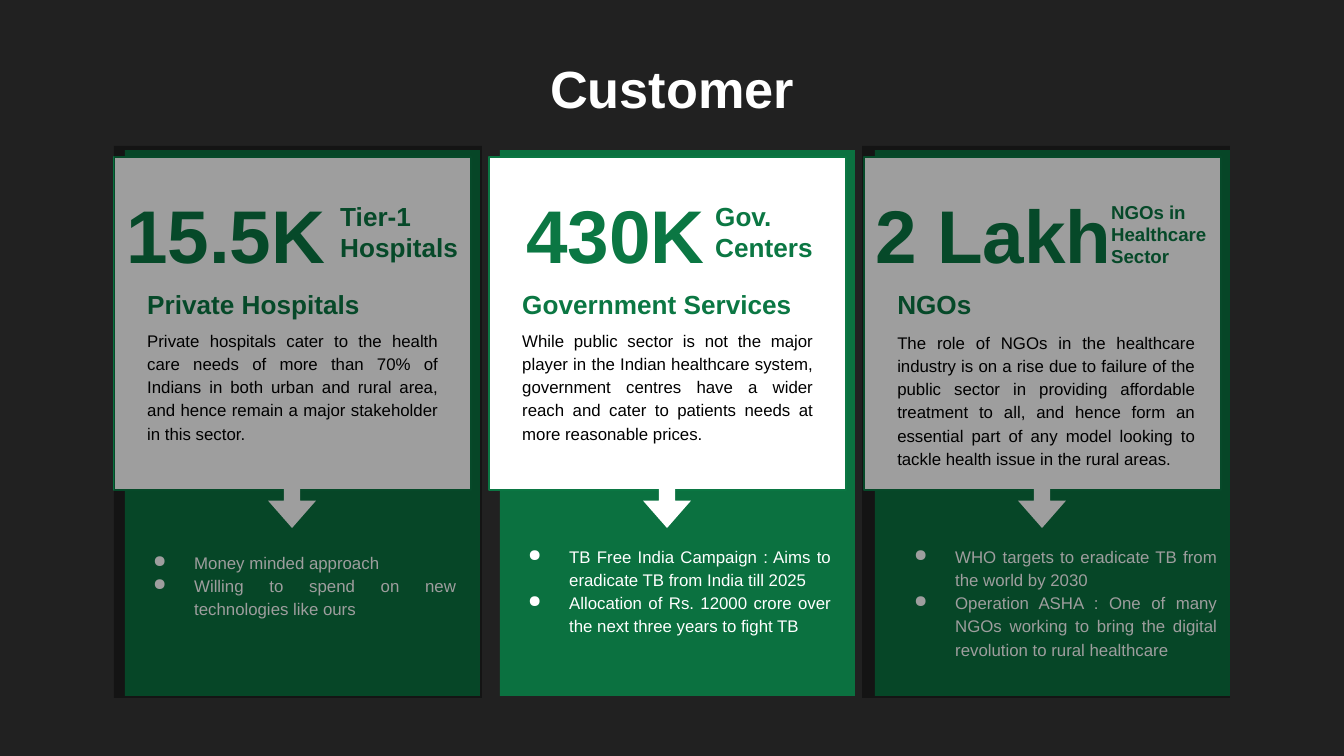
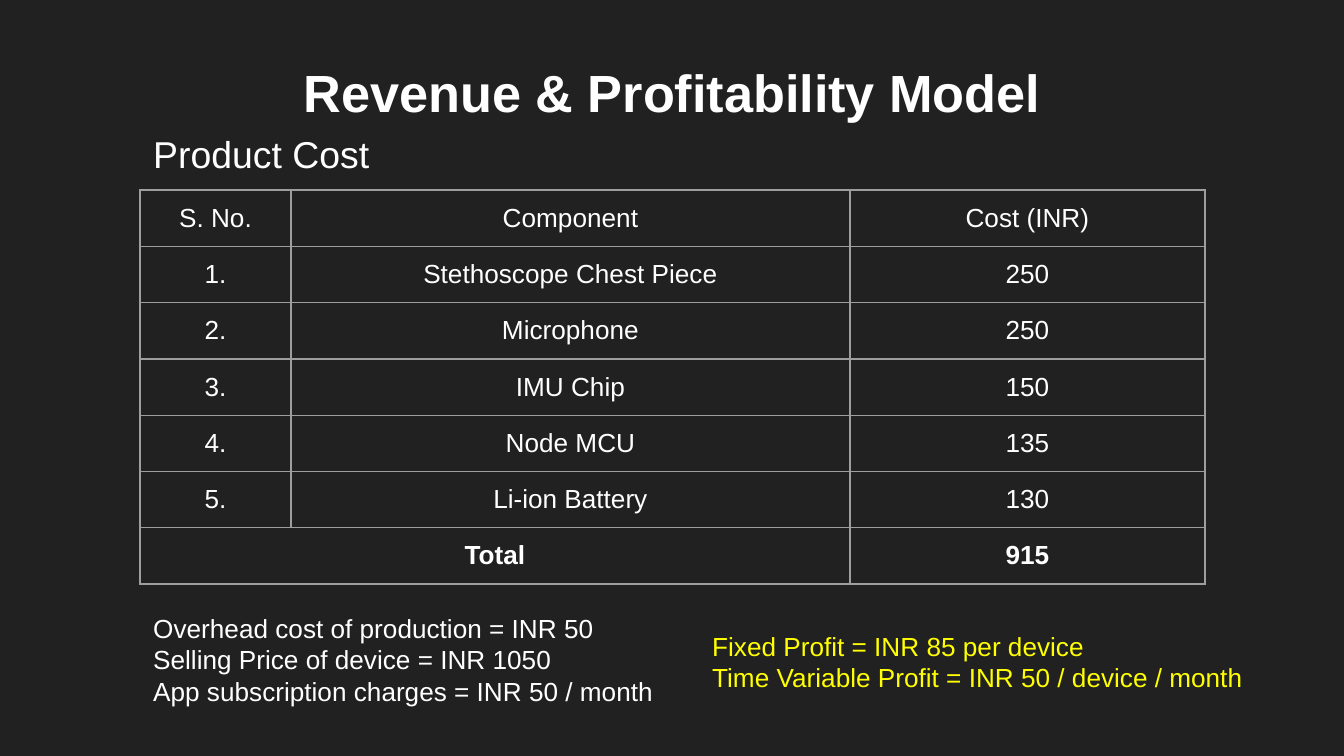
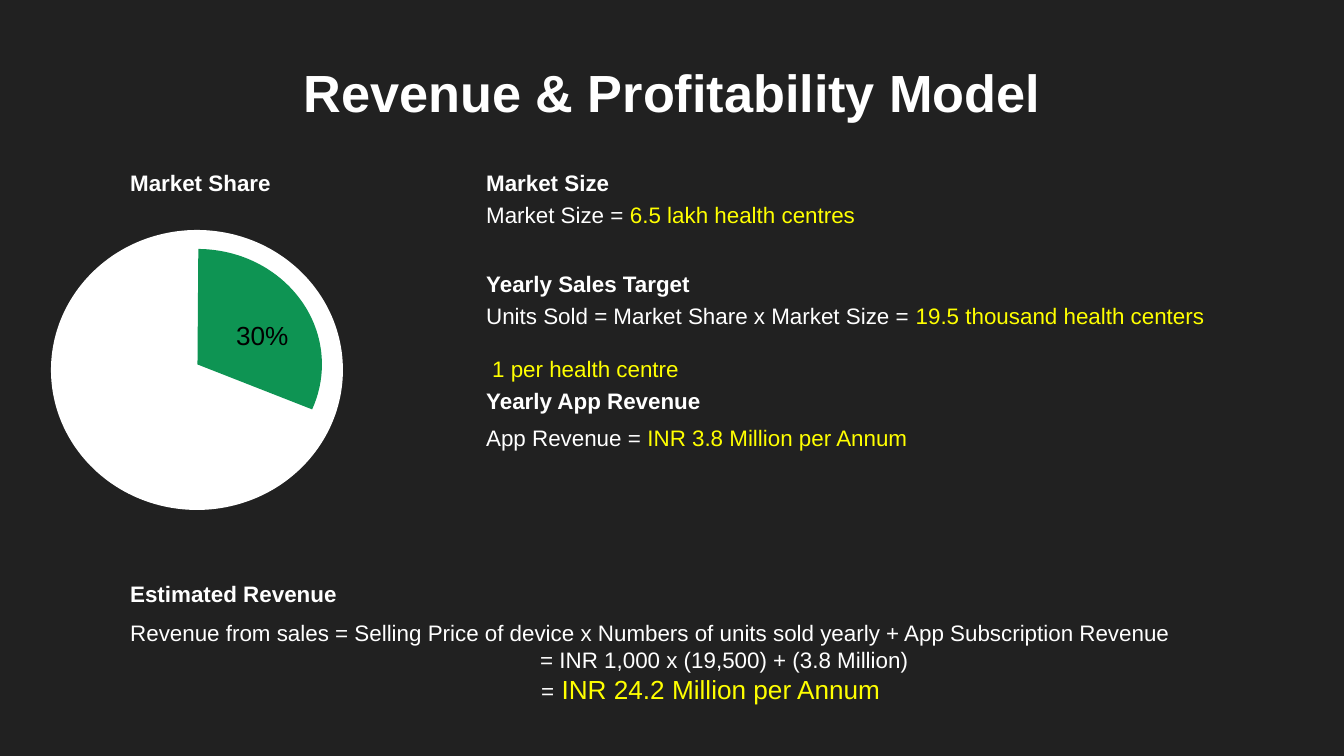
from dataclasses import dataclass

from lxml import etree
from pptx import Presentation
from pptx.dml.color import RGBColor
from pptx.enum.shapes import MSO_SHAPE
from pptx.enum.text import MSO_ANCHOR, MSO_AUTO_SIZE, PP_ALIGN
from pptx.oxml.ns import qn
from pptx.util import Inches, Pt

RECT, ARROW = MSO_SHAPE.RECTANGLE, MSO_SHAPE.RIGHT_ARROW
OVAL, PIE = MSO_SHAPE.OVAL, MSO_SHAPE.PIE
CENTER, JUSTIFY = PP_ALIGN.CENTER, PP_ALIGN.JUSTIFY

FONT = "Arial"
DARK, WHITE, BLACK, YELLOW, GREY = "212121", "FFFFFF", "000000", "FFFF00", "9E9E9E"
GREEN, CARD_GREEN, PIE_GREEN = "0B7743", "0B7140", "0E9453"
INSET = Inches(0.1)
CARD_TOP, CARD_LEFT, CARD_STEP = 146, 114, 375
REVENUE_TITLE = "Revenue & Profitability Model"


def px(length):
    return round(length * 914400 / 134.4)


def rgb(color):
    return RGBColor.from_string(color)


def style(paragraph, size, color, bold=False, align=None, spacing=None):
    font = paragraph.font
    font.name, font.size, font.bold = FONT, Pt(size), bold
    font.color.rgb = rgb(color)
    paragraph.alignment = align
    paragraph.line_spacing = spacing


def prepare(frame):
    frame.word_wrap = True
    frame.auto_size = MSO_AUTO_SIZE.NONE
    frame.vertical_anchor = MSO_ANCHOR.TOP
    frame.margin_left = frame.margin_right = INSET
    frame.margin_top = frame.margin_bottom = INSET


def add_bullet(paragraph):
    props = paragraph._p.get_or_add_pPr()
    props.set("marL", str(px(67)))
    props.set("indent", str(px(-41)))
    bullet_color = etree.SubElement(props, qn("a:buClr"))
    etree.SubElement(bullet_color, qn("a:srgbClr"), val=WHITE)
    etree.SubElement(props, qn("a:buChar"), char="●")


def add_text(slide, box, lines, size, color=WHITE, bold=False, bullets=False, **layout):
    """Each line is a string or a list of (text, colour) runs."""
    frame = slide.shapes.add_textbox(*map(px, box)).text_frame
    prepare(frame)
    for i, line in enumerate(lines):
        paragraph = frame.add_paragraph() if i else frame.paragraphs[0]
        if bullets:
            add_bullet(paragraph)
        style(paragraph, size, color, bold, **layout)
        if isinstance(line, str):
            paragraph.add_run().text = line
            continue
        for words, run_color in line:
            run = paragraph.add_run()
            run.text = words
            run.font.color.rgb = rgb(run_color)
    return frame.paragraphs


def add_block(slide, kind, box, color, line=None, alpha=None):
    block = slide.shapes.add_shape(kind, *map(px, box))
    block.shadow.inherit = False
    block.fill.solid()
    block.fill.fore_color.rgb = rgb(color)
    if alpha:
        fill_color = block.element.spPr.find(qn("a:solidFill"))[0]
        etree.SubElement(fill_color, qn("a:alpha"), val=str(alpha * 1000))
    if line:
        block.line.color.rgb = rgb(line)
        block.line.width = Pt(1.5)
    else:
        block.line.fill.background()
    return block


def add_titled_slide(prs, words, box):
    slide = prs.slides.add_slide(prs.slide_layouts[5])
    title = slide.shapes.title
    title.left, title.top, title.width, title.height = map(px, box)
    title.text_frame.text = words
    prepare(title.text_frame)
    style(title.text_frame.paragraphs[0], 28, WHITE, bold=True, align=CENTER)
    return slide


@dataclass
class Customer:
    """Offsets are measured from the left edge of the card."""
    name: str
    about: str
    points: list
    count: str
    unit: list
    count_dx: int = -1
    unit_dx: int = 213
    unit_width: int = 242
    unit_size: int = 14
    about_box: tuple = (168, 317, 112)
    points_dx: int = 0
    points_dy: int = 384
    shade_dx: int | None = None


CUSTOMERS = [
    Customer(
        "Private Hospitals",
        "Private hospitals cater to the health care needs of more than 70% of Indians "
        "in both urban and rural area, and hence remain a major stakeholder in this sector.",
        ["Money minded approach", "Willing to spend on new technologies like ours"],
        "15.5K", ["Tier-1", "Hospitals"], unit_width=155, points_dy=390, shade_dx=0),
    Customer(
        "Government Services",
        "While public sector is not the major player in the Indian healthcare system, "
        "government centres have a wider reach and cater to patients needs at more "
        "reasonable prices.",
        ["TB Free India Campaign : Aims to eradicate TB from India till 2025",
         "Allocation of Rs. 12000 crore over the next three years to fight TB"],
        "430K", ["Gov.", "Centers"], count_dx=24),
    Customer(
        "NGOs",
        "The role of NGOs in the healthcare industry is on a rise due to failure of the "
        "public sector in providing affordable treatment to all, and hence form an "
        "essential part of any model looking to tackle health issue in the rural areas.",
        ["WHO targets to eradicate TB from the world by 2030",
         "Operation ASHA : One of many NGOs working to bring the digital revolution to "
         "rural healthcare"],
        "2 Lakh", ["NGOs in", "Healthcare", "Sector"], count_dx=-2, unit_dx=234,
        unit_size=10, about_box=(170, 324, 168), points_dx=11, shade_dx=-2),
]


def add_customer_card(slide, left, top, customer):
    add_block(slide, RECT, (left + 11, top + 4, 355, 546), CARD_GREEN)
    add_block(slide, RECT, (left, top + 11, 357, 333), WHITE, line=GREEN)
    add_text(slide, (left + 20, top + 129, 317, 82), [customer.name], 14, GREEN, bold=True)
    about_dy, about_width, about_height = customer.about_box
    add_text(slide, (left + 20, top + about_dy, about_width, about_height),
             [customer.about], 9, BLACK, align=JUSTIFY, spacing=1.15)
    add_text(slide, (left + customer.count_dx, top + 29, 317, 90),
             [customer.count], 40, GREEN, bold=True)
    arrow = add_block(slide, ARROW, (left + 152, top + 332, 52, 48), WHITE)
    arrow.rotation = 90
    arrow.adjustments[0], arrow.adjustments[1] = 0.34, 0.57
    add_text(slide, (left + customer.points_dx, top + customer.points_dy, 355, 145),
             customer.points, 9, bullets=True, align=JUSTIFY, spacing=1.15)
    add_text(slide, (left + customer.unit_dx, top + 41, customer.unit_width, 90),
             customer.unit, customer.unit_size, GREEN, bold=True)
    if customer.shade_dx is not None:
        add_block(slide, RECT, (left + customer.shade_dx, top, 368, 552), BLACK, alpha=38)


def build_customers(prs):
    slide = add_titled_slide(prs, "Customer", (58, 43, 1228, 77))
    for i, customer in enumerate(CUSTOMERS):
        add_customer_card(slide, CARD_LEFT + i * CARD_STEP, CARD_TOP, customer)


COSTS = [
    ("S. No.", "Component", "Cost (INR)"),
    ("1.", "Stethoscope Chest Piece", "250"),
    ("2.", "Microphone", "250"),
    ("3.", "IMU Chip", "150"),
    ("4.", "Node MCU", "135"),
    ("5.", "Li-ion Battery", "130"),
    ("Total", "", "915"),
]


def outline_cell(cell):
    props = cell._tc.get_or_add_tcPr()
    for i, side in enumerate(("a:lnL", "a:lnR", "a:lnT", "a:lnB")):
        border = etree.Element(qn(side), w=str(Pt(0.75)))
        fill = etree.SubElement(border, qn("a:solidFill"))
        etree.SubElement(fill, qn("a:srgbClr"), val=GREY)
        props.insert(i, border)


def add_cost_table(slide, left, top, widths, row_height):
    last = len(COSTS) - 1
    box = (left, top, sum(widths), row_height * len(COSTS))
    table = slide.shapes.add_table(len(COSTS), len(widths), *map(px, box)).table
    table.first_row = table.horz_banding = False
    for column, width in zip(table.columns, widths):
        column.width = px(width)
    for r, values in enumerate(COSTS):
        table.rows[r].height = px(row_height)
        for c, value in enumerate(values):
            cell = table.cell(r, c)
            cell.margin_left = cell.margin_right = INSET
            cell.margin_top = cell.margin_bottom = INSET
            cell.fill.background()
            outline_cell(cell)
            cell.text = value
            style(cell.text_frame.paragraphs[0], 14, WHITE, bold=r == last, align=CENTER)
    table.cell(last, 0).merge(table.cell(last, 1))


def build_product_cost(prs):
    slide = add_titled_slide(prs, REVENUE_TITLE, (46, 47, 1252, 90))
    add_text(slide, (140, 118, 339, 56), ["Product Cost"], 20)
    add_cost_table(slide, 140, 190, (151, 559, 355), 56)
    add_text(slide, (140, 599, 1064, 56),
             ["Overhead cost of production = INR 50",
              "Selling Price of device = INR 1050",
              "App subscription charges = INR 50 / month"], 14)
    add_text(slide, (699, 617, 630, 40),
             ["Fixed Profit = INR 85 per device",
              "Time Variable Profit = INR 50 / device / month"], 14, YELLOW)


def indent(paragraph, length):
    paragraph._p.get_or_add_pPr().set("marL", str(px(length)))


def add_heading(slide, left, top, words):
    add_text(slide, (left, top, 400, 54), [words], 12, bold=True)


def add_market_share(slide, left, top):
    add_block(slide, OVAL, (left, top, 292, 280), WHITE)
    share = add_block(slide, PIE, (left + 22, top + 19, 249, 231), PIE_GREEN)
    # Angles in degrees, stored in 60000ths and scaled by 100000
    share.adjustments[0], share.adjustments[1] = 270.44 * 0.6, 21.38 * 0.6
    add_text(slide, (left + 172, top + 76, 94, 54), ["30%"], 14, BLACK)


def add_market_figures(slide, left, top):
    figures = [
        (0, 32, "Market Size", "Market Size = ", "6.5 lakh health centres"),
        (101, 133, "Yearly Sales Target", "Units Sold = Market Share x Market Size = ",
         "19.5 thousand health centers"),
        (218, 255, "Yearly App Revenue", "App Revenue = ", "INR 3.8 Million per Annum"),
    ]
    for heading_dy, formula_dy, heading, formula, result in figures:
        add_heading(slide, left, top + heading_dy, heading)
        lines = [[(formula, WHITE), (result, YELLOW)]]
        if heading == "Yearly Sales Target":
            lines.append([("1 per health centre", YELLOW)])
        paragraphs = add_text(slide, (left, top + formula_dy, 857, 116), lines, 12)
        for note in paragraphs[1:]:
            note.space_before = Pt(14)
            indent(note, 6)


def add_estimated_revenue(slide, left, top):
    add_heading(slide, left, top, "Estimated Revenue")
    _, calculation, total = add_text(
        slide, (left, top + 39, 1129, 121),
        ["Revenue from sales = Selling Price of device x Numbers of units sold yearly"
         " + App Subscription Revenue",
         "= INR 1,000 x (19,500) + (3.8 Million)",
         [("=", WHITE), (" INR 24.2 Million per Annum", YELLOW)]], 12)
    indent(calculation, 410)
    indent(total, 411)
    total.runs[1].font.size = Pt(14)


def build_market(prs):
    slide = add_titled_slide(prs, REVENUE_TITLE, (0, 47, 1344, 90))
    add_heading(slide, 117, 156, "Market Share")
    add_market_share(slide, 51, 230)
    add_market_figures(slide, 473, 156)
    add_estimated_revenue(slide, 117, 567)


def main():
    prs = Presentation()
    prs.slide_width, prs.slide_height = px(1344), px(756)
    background = prs.slide_master.background.fill
    background.solid()
    background.fore_color.rgb = rgb(DARK)
    build_customers(prs)
    build_product_cost(prs)
    build_market(prs)
    prs.save("out.pptx")


if __name__ == "__main__":
    main()
